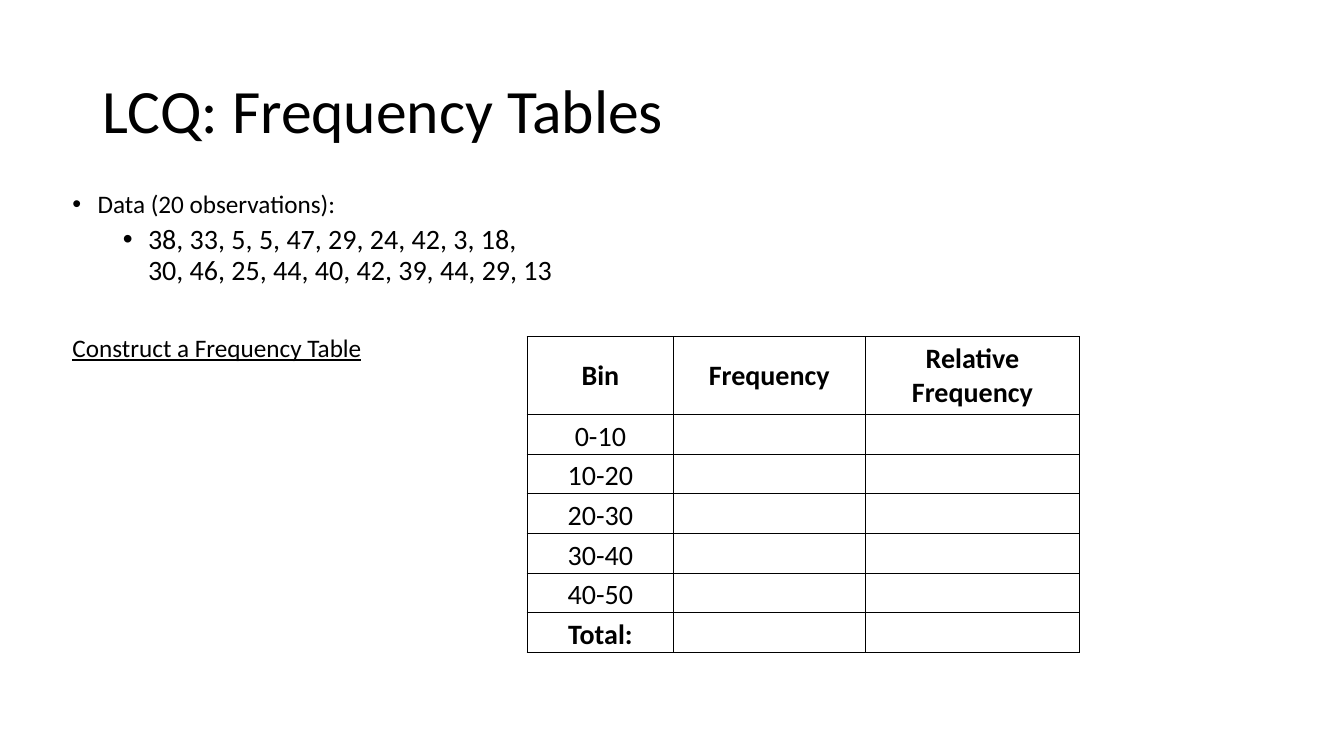
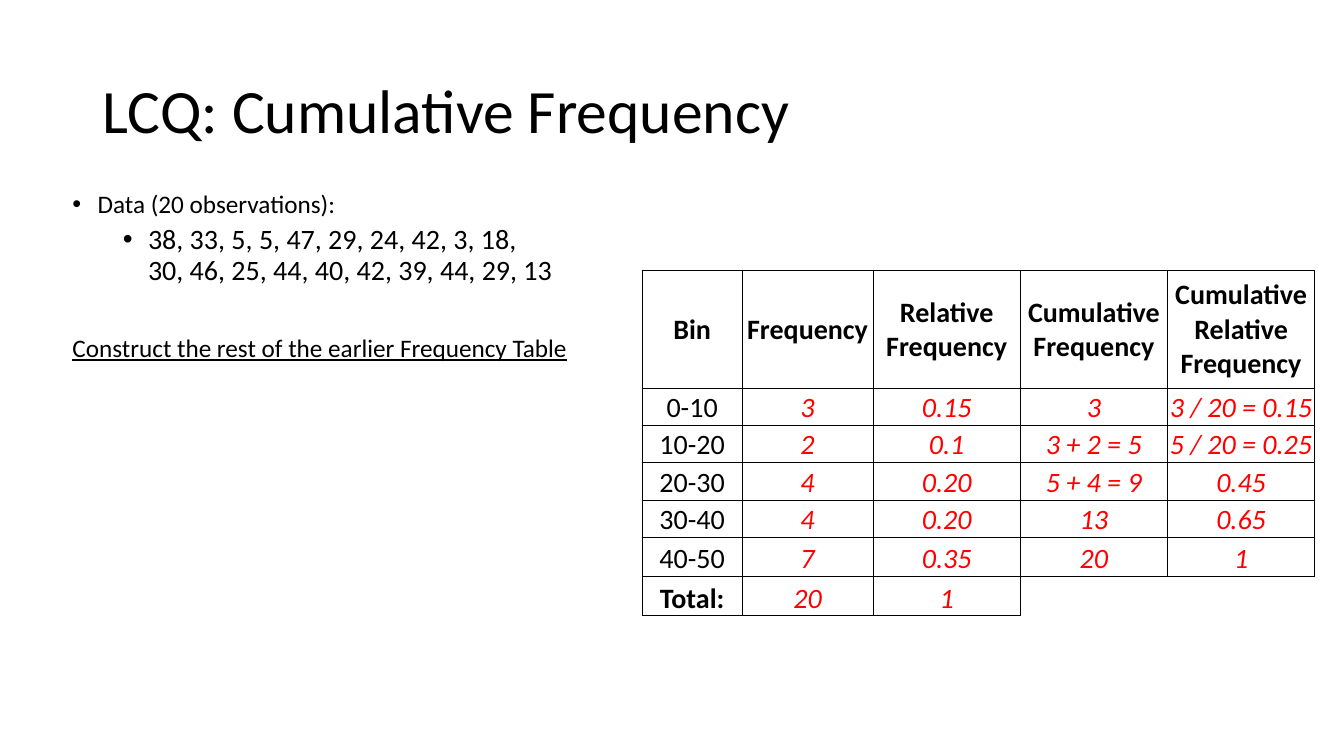
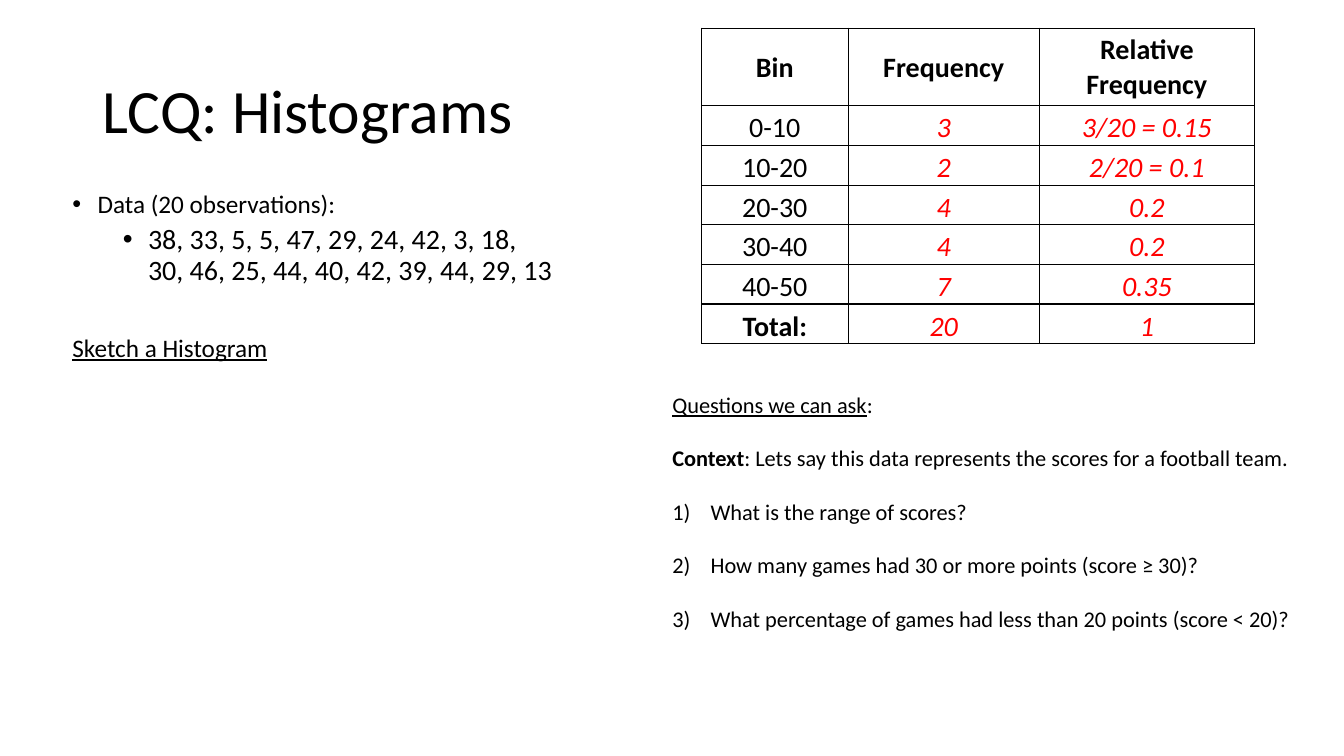
"""Build three frequency-table exercise slides."""
from dataclasses import dataclass
from typing import Any, NamedTuple, Optional

from lxml.etree import SubElement
from pptx import Presentation
from pptx.dml.color import RGBColor
from pptx.enum.text import MSO_ANCHOR, PP_ALIGN
from pptx.oxml.ns import qn
from pptx.util import Inches, Pt

FONT = "Calibri"
BLACK = "000000"
RED = "FF0000"
PLAIN_TABLE_STYLE = "{2D5ABB26-0587-4C30-8999-92F81FD0307C}"
CELL_FORMAT = {
    "margin_left": Inches(0.01),
    "margin_right": Inches(0.01),
    "margin_top": Inches(0.01),
    "margin_bottom": 0,
}
OUTER, INNER = 1, 0.5
DATA = "38, 33, 5, 5, 47, 29, 24, 42, 3, 18,\n30, 46, 25, 44, 40, 42, 39, 44, 29, 13"
BINS = ("0-10", "10-20", "20-30", "30-40", "40-50", "Total:")


class Box(NamedTuple):
    left: float
    top: float
    width: float
    height: float


class Span(NamedTuple):
    text: str
    size: float
    bold: bool = False
    italic: bool = False
    underline: bool = False
    color: str = BLACK


@dataclass(frozen=True)
class Line:
    spans: tuple[Span, ...]
    before: float = 0
    spacing: float = 1.0
    level: int = 0
    margin: float = 0
    hanging: float = 0
    bullet: str = ""


@dataclass(frozen=True)
class FrequencyTable:
    left: float
    top: float
    columns: tuple[float, ...]
    rows: tuple[float, ...]
    headers: tuple[str, ...]
    answers: tuple[tuple[Optional[str], ...], ...]


@dataclass(frozen=True)
class Exercise:
    title: str
    task: str
    table: FrequencyTable
    questions: tuple[Line, ...] = ()


def rgb(color: str) -> RGBColor:
    return RGBColor.from_string(color)


def apply_format(target: Any, values: dict[str, Any]) -> None:
    for attribute, value in values.items():
        setattr(target, attribute, value)


def write_span(paragraph: Any, span: Span) -> None:
    for index, part in enumerate(span.text.split("\n")):
        if index:
            paragraph.add_line_break()
        run = paragraph.add_run()
        run.text = part
        apply_format(run.font, {
            "name": FONT,
            "size": Pt(span.size),
            "bold": span.bold,
            "italic": span.italic,
            "underline": span.underline,
        })
        run.font.color.rgb = rgb(span.color)


def write_line(paragraph: Any, line: Line) -> None:
    apply_format(paragraph, {
        "level": line.level,
        "line_spacing": line.spacing,
        "space_before": Pt(line.before),
    })
    properties = paragraph._p.get_or_add_pPr()
    if line.bullet:
        properties.set("marL", str(Inches(line.margin)))
        properties.set("indent", str(-Inches(line.hanging)))
    if line.bullet == "1)":
        SubElement(properties, qn("a:buFont"), typeface="+mj-lt")
        SubElement(properties, qn("a:buAutoNum"), type="arabicParenR")
    elif line.bullet:
        SubElement(properties, qn("a:buFont"), typeface="Arial")
        SubElement(properties, qn("a:buChar"), char=line.bullet)
    for span in line.spans:
        write_span(paragraph, span)


def add_text(slide: Any, box: Box, lines: tuple[Line, ...],
             anchor: MSO_ANCHOR = MSO_ANCHOR.TOP) -> None:
    frame = slide.shapes.add_textbox(*map(Inches, box)).text_frame
    apply_format(frame, {"word_wrap": True, "vertical_anchor": anchor})
    for index, line in enumerate(lines):
        write_line(frame.add_paragraph() if index else frame.paragraphs[0], line)


def set_border(cell: Any, side: str, width: float) -> None:
    properties = cell._tc.get_or_add_tcPr()
    border = SubElement(properties, qn(f"a:ln{side}"), w=str(Pt(width)))
    if width:
        fill = SubElement(border, qn("a:solidFill"))
        SubElement(fill, qn("a:srgbClr"), val=BLACK)
    else:
        SubElement(border, qn("a:noFill"))


def add_table(slide: Any, spec: FrequencyTable) -> None:
    grid = [spec.headers] + [(label, *row) for label, row in zip(BINS, spec.answers)]
    total_row = len(grid) - 1
    frame = slide.shapes.add_table(
        len(grid), len(spec.columns), Inches(spec.left), Inches(spec.top),
        Inches(sum(spec.columns)), Inches(sum(spec.rows)))
    table = frame.table
    apply_format(table, {"first_row": False, "horz_banding": False})
    table._tbl.tblPr.find(qn("a:tableStyleId")).text = PLAIN_TABLE_STYLE
    for column, width in zip(table.columns, spec.columns):
        column.width = Inches(width)
    for row, height in zip(table.rows, spec.rows):
        row.height = Inches(height)

    def exists(r: int, c: int) -> bool:
        inside = 0 <= r < len(grid) and 0 <= c < len(spec.columns)
        return inside and grid[r][c] is not None

    def edge(r: int, c: int, down: int, across: int) -> float:
        sides = exists(r, c) + exists(r + down, c + across)
        above_total = {r, r + down} == {total_row - 1, total_row}
        if sides == 2:
            return OUTER if above_total else INNER
        return OUTER if sides else 0

    for r, texts in enumerate(grid):
        for c, text in enumerate(texts):
            cell = table.cell(r, c)
            apply_format(cell, CELL_FORMAT)
            cell.vertical_anchor = MSO_ANCHOR.BOTTOM if r else MSO_ANCHOR.MIDDLE
            for side, down, across in (("L", 0, -1), ("R", 0, 1), ("T", -1, 0), ("B", 1, 0)):
                set_border(cell, side, edge(r, c, down, across))
            cell.fill.background()
            paragraph = cell.text_frame.paragraphs[0]
            paragraph.alignment = PP_ALIGN.CENTER
            if text:
                answer = r > 0 and c > 0
                write_span(paragraph, Span(
                    text, 20, bold=r == 0 or text == "Total:", italic=answer,
                    color=RED if answer else BLACK))
            else:
                paragraph.font.size = Pt(20)


def add_exercise(deck: Any, exercise: Exercise) -> None:
    slide = deck.slides.add_slide(deck.slide_layouts[6])
    title = Line((Span(exercise.title, 44),), spacing=0.9)
    add_text(slide, Box(0.92, 0.4, 11.5, 1.45), (title,), MSO_ANCHOR.MIDDLE)
    add_text(slide, Box(0.62, 1.85, 5.75, 5.47), (
        Line((Span("Data (20 observations):", 18),), spacing=0.9,
             margin=0.25, hanging=0.25, bullet="•"),
        Line((Span(DATA, 20),), before=5, spacing=0.9, level=1,
             margin=0.75, hanging=0.25, bullet="•"),
        Line((Span(exercise.task, 18, underline=True),), before=35.4, spacing=0.9),
    ))
    add_table(slide, exercise.table)
    if exercise.questions:
        add_text(slide, Box(6.57, 3.83, 6.44, 2.52), exercise.questions)


def question(text: str) -> Line:
    return Line((Span(text, 16),), before=19, margin=0.38, hanging=0.38, bullet="1)")


def three_column_table(left: float, top: float,
                       answers: tuple[tuple[str, ...], ...]) -> FrequencyTable:
    return FrequencyTable(
        left, top, (1.45, 1.9, 2.13), (0.77, *[2.36 / 6] * 6),
        ("Bin", "Frequency", "Relative Frequency"), answers)


EXERCISES = (
    Exercise("LCQ: Frequency Tables", "Construct a Frequency Table",
             three_column_table(5.23, 3.34, (("", ""),) * len(BINS))),
    Exercise(
        "LCQ: Cumulative Frequency",
        "Construct the rest of the earlier Frequency Table",
        FrequencyTable(
            6.37, 2.68, (0.99, 1.3, 1.46, 1.46, 1.46),
            (1.17, *[0.37] * 4, 0.39, 0.39),
            ("Bin", "Frequency", "Relative Frequency", "Cumulative Frequency",
             "Cumulative Relative Frequency"),
            (("3", "0.15", "3", "3 / 20 = 0.15"),
             ("2", "0.1", "3 + 2 = 5", "5 / 20 = 0.25"),
             ("4", "0.20", "5 + 4 = 9", "0.45"),
             ("4", "0.20", "13", "0.65"),
             ("7", "0.35", "20", "1"),
             ("20", "1", None, None)))),
    Exercise(
        "LCQ: Histograms", "Sketch a Histogram",
        three_column_table(6.96, 0.28, (
            ("3", "3/20 = 0.15"), ("2", "2/20 = 0.1"), ("4", "0.2"),
            ("4", "0.2"), ("7", "0.35"), ("20", "1"))),
        (Line((Span("Questions we can ask", 16, underline=True), Span(":", 16))),
         Line((Span("Context", 16, bold=True),
               Span(": Lets say this data represents the scores for a football team.", 16)),
              before=19),
         question("What is the range of scores?"),
         question("How many games had 30 or more points (score ≥ 30)?"),
         question("What percentage of games had less than 20 points (score < 20)?"))),
)


def main() -> None:
    deck = Presentation()
    apply_format(deck, {"slide_width": Inches(13.33), "slide_height": Inches(7.5)})
    for exercise in EXERCISES:
        add_exercise(deck, exercise)
    deck.save("out.pptx")


if __name__ == "__main__":
    main()
